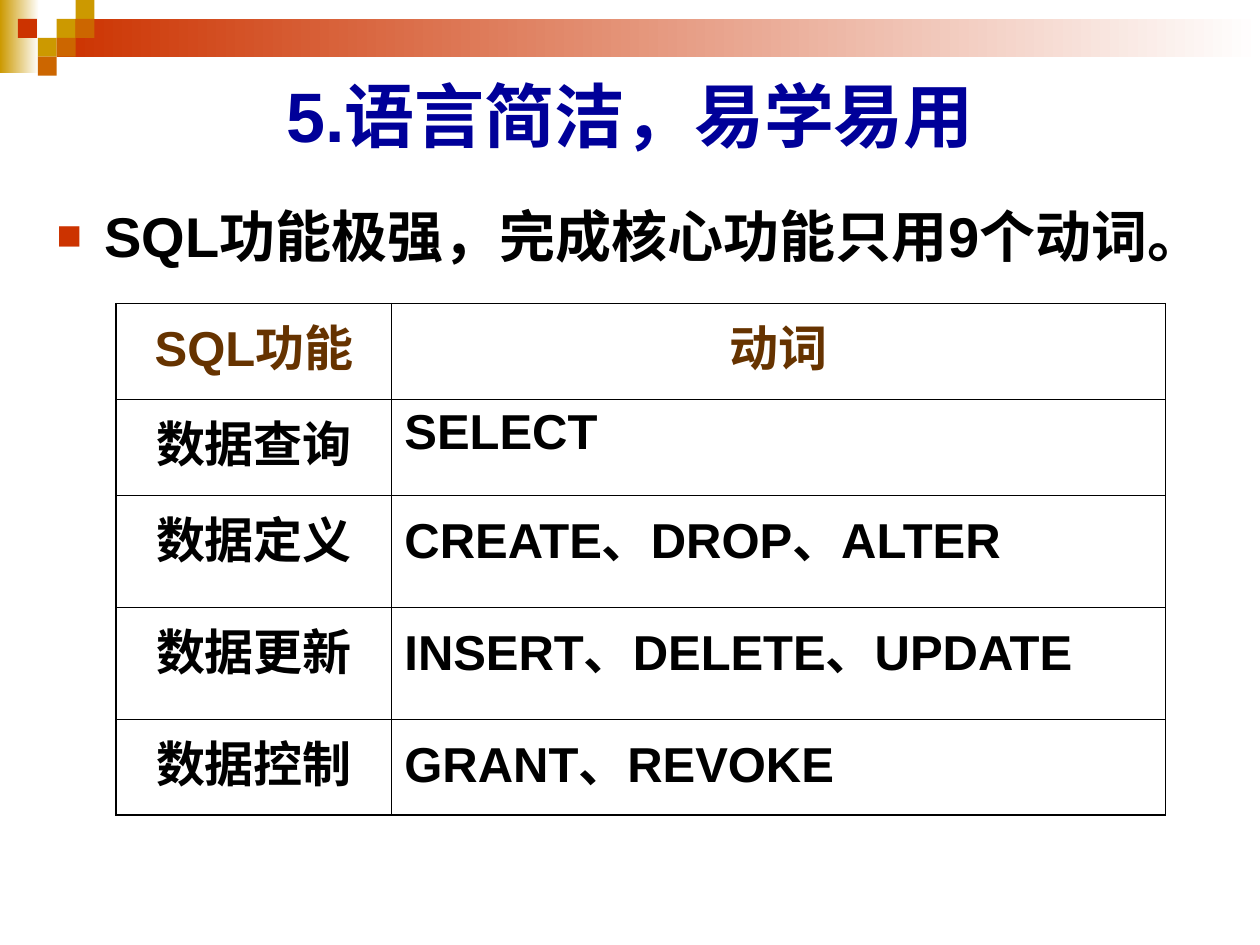
from lxml.etree import SubElement
from pptx import Presentation
from pptx.dml.color import RGBColor
from pptx.enum.shapes import MSO_SHAPE
from pptx.enum.text import MSO_ANCHOR, PP_ALIGN
from pptx.oxml.ns import qn
from pptx.util import Inches, Pt

WHITE = RGBColor(0xFF, 0xFF, 0xFF)
BLACK = RGBColor(0, 0, 0)
GOLD = RGBColor(0xCC, 0x99, 0)
RED = RGBColor(0xCC, 0x33, 0)
ORANGE = RGBColor(0xCC, 0x66, 0)
NAVY = RGBColor(0, 0, 0x99)
BROWN = RGBColor(0x66, 0x33, 0)
UNIT = 0.15  # side of one square in the corner mosaic

deck = Presentation()
deck.slide_width, deck.slide_height = Inches(10), Inches(7.5)
slide = deck.slides.add_slide(deck.slide_layouts[6])


def add_block(col, row, wide, high, color, fade=False):
    block = slide.shapes.add_shape(
        MSO_SHAPE.RECTANGLE,
        *[Inches(n * UNIT) for n in (col, row, wide, high)])
    block.shadow.inherit = False
    block.line.fill.background()
    if fade:
        block.fill.gradient()
        block.fill.gradient_angle = 0
        for stop, tone in zip(block.fill.gradient_stops, (color, WHITE)):
            stop.color.rgb = tone
    else:
        block.fill.solid()
        block.fill.fore_color.rgb = color


def add_text(frame, text, size, color, align):
    frame.word_wrap = True
    para = frame.paragraphs[0]
    para.alignment = align
    run = para.add_run()
    run.text = text
    font = run.font
    font.name, font.size, font.bold = "Arial", Pt(size), True
    font.color.rgb = color
    return para


# Fading bands and corner mosaic
add_block(0, 0, 2.07, 3.87, GOLD, fade=True)
add_block(3, 1, 63.67, 2, RED, fade=True)
for col, row, color in [(3, 1, GOLD), (4, 0, GOLD), (4, 1, ORANGE),
                        (2, 2, GOLD), (0.95, 1, RED), (3, 2, ORANGE),
                        (2, 3, ORANGE)]:
    add_block(col, row, 1, 1, color)

# Title
title = slide.shapes.add_textbox(Inches(0.5), Inches(0.5), Inches(9), Inches(0.81))
title.text_frame.vertical_anchor = MSO_ANCHOR.MIDDLE
add_text(title.text_frame, "5.语言简洁，易学易用", 40, NAVY, PP_ALIGN.CENTER)

# Verb table
rows = [("SQL功能", "动词"),
        ("数据查询", "SELECT"),
        ("数据定义", "CREATE、DROP、ALTER"),
        ("数据更新", "INSERT、DELETE、UPDATE"),
        ("数据控制", "GRANT、REVOKE")]
grid = slide.shapes.add_table(len(rows), 2, Inches(0.92), Inches(2.41),
                              Inches(8.33), Inches(4.06)).table
for col, wide in zip(grid.columns, (2.19, 6.14)):
    col.width = Inches(wide)
for row, high in zip(grid.rows, (0.76, 0.76, 0.89, 0.89, 0.76)):
    row.height = Inches(high)

for r, row in enumerate(rows):
    for c, text in enumerate(row):
        cell = grid.cell(r, c)
        head = r == 0
        add_text(cell.text_frame, text, 28, BROWN if head else BLACK,
                 PP_ALIGN.CENTER if head or c == 0 else PP_ALIGN.LEFT)
        # Outer edges are thicker than the inner rules
        outer = {"lnL": c == 0, "lnR": c == 1,
                 "lnT": head, "lnB": r == len(rows) - 1}
        props = cell._tc.get_or_add_tcPr()
        for side, edge in outer.items():
            line = SubElement(props, qn("a:" + side), w=str(Pt(1.08 if edge else 0.45)))
            fill = SubElement(line, qn("a:solidFill"))
            SubElement(fill, qn("a:srgbClr"), val=str(BLACK))
        cell.fill.background()

# Bullet line
body = slide.shapes.add_textbox(Inches(0.35), Inches(1.55), Inches(9.65), Inches(4.25))
para = add_text(body.text_frame, "SQL功能极强，完成核心功能只用9个动词。",
                32, BLACK, PP_ALIGN.LEFT)
props = para._p.get_or_add_pPr()
props.set("marL", str(Inches(0.38)))
props.set("indent", str(Inches(-0.38)))
tint = SubElement(props, qn("a:buClr"))
SubElement(tint, qn("a:srgbClr"), val=str(RED))
SubElement(props, qn("a:buSzPct"), val="75000")
SubElement(props, qn("a:buFont"), typeface="Arial")
SubElement(props, qn("a:buChar"), char="■")

deck.save("out.pptx")
